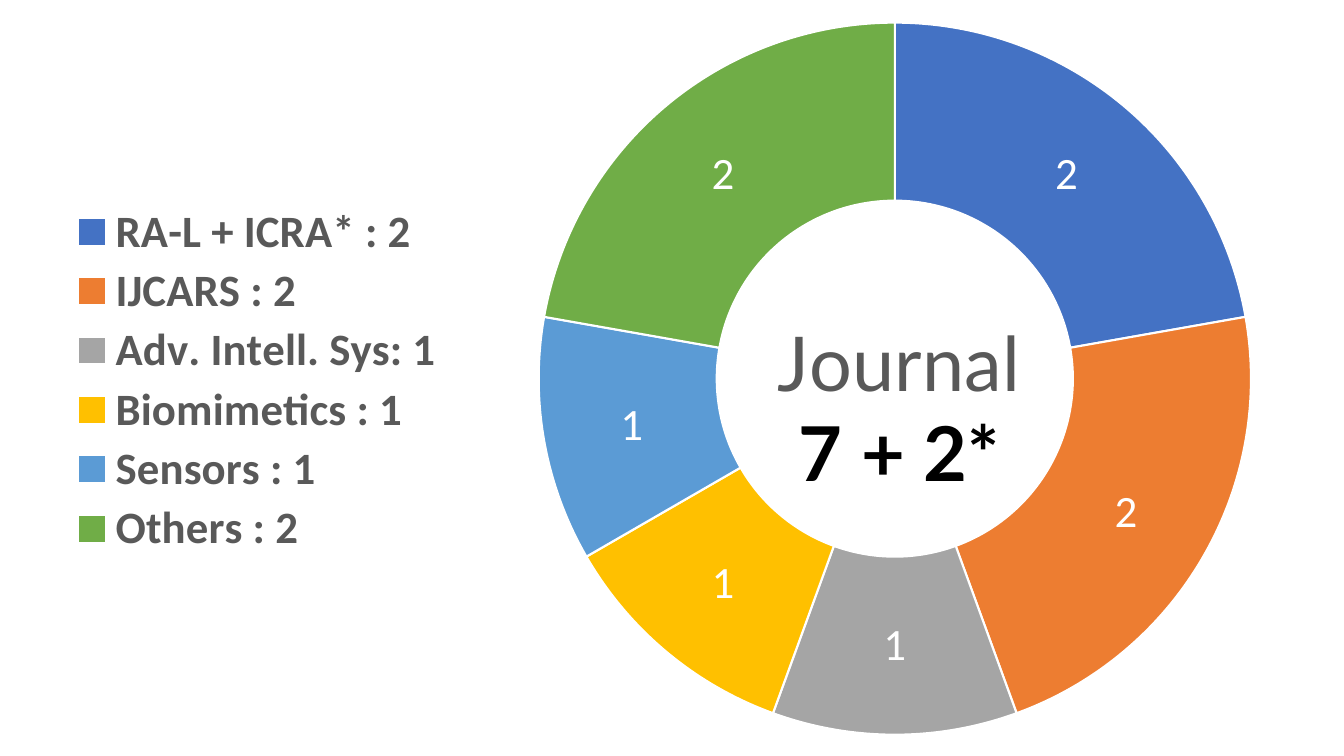
from lxml import etree
from pptx import Presentation
from pptx.chart.data import CategoryChartData
from pptx.dml.color import RGBColor
from pptx.enum import chart as ch
from pptx.enum import text
from pptx.oxml.ns import qn
from pptx.util import Inches, Pt

GREY = RGBColor(0x59, 0x59, 0x59)
BLACK = RGBColor(0, 0, 0)
WHITE = RGBColor(0xFF, 0xFF, 0xFF)
JOURNALS = [
    ("RA-L + ICRA* : 2", 2, RGBColor(0x44, 0x72, 0xC4)),
    ("IJCARS : 2", 2, RGBColor(0xED, 0x7D, 0x31)),
    ("Adv. Intell. Sys: 1", 1, RGBColor(0xA5, 0xA5, 0xA5)),
    ("Biomimetics : 1", 1, RGBColor(0xFF, 0xC0, 0x00)),
    ("Sensors : 1", 1, RGBColor(0x5B, 0x9B, 0xD5)),
    ("Others : 2", 2, RGBColor(0x70, 0xAD, 0x47)),
]


def style(font, size, color, name="Calibri", bold=False):
    font.size = Pt(size)
    font.name = name
    font.bold = bold
    font.color.rgb = color


def place(parent, index, **settings):
    """Give a chart part a manual layout, as fractions of the chart."""
    for old in parent.findall(qn("c:layout")):
        parent.remove(old)
    layout = etree.Element(qn("c:layout"))
    parent.insert(index, layout)
    manual = etree.SubElement(layout, qn("c:manualLayout"))
    for tag, value in settings.items():
        etree.SubElement(manual, qn(f"c:{tag}")).set("val", str(value))


deck = Presentation()
deck.slide_width, deck.slide_height = Inches(13.33), Inches(7.5)
slide = deck.slides.add_slide(deck.slide_layouts[6])

# Doughnut of journal papers
papers = CategoryChartData()
papers.categories = [journal for journal, _, _ in JOURNALS]
papers.add_series("Series 1", [count for _, count, _ in JOURNALS])
doughnut = slide.shapes.add_chart(
    ch.XL_CHART_TYPE.DOUGHNUT, Inches(0.24), 0, Inches(12.86), Inches(7.5), papers
).chart
style(doughnut.font, 10, BLACK)
plot = doughnut.plots[0]
plot.vary_by_categories = True
for i, (_, _, color) in enumerate(JOURNALS):
    segment = plot.series[0].points[i].format
    segment.fill.solid()
    segment.fill.fore_color.rgb = color
    segment.line.color.rgb = WHITE
    segment.line.width = Pt(1.5)

# Counts on the ring
counts = plot.series[0].data_labels
counts.show_value = True
counts.show_percentage = False
style(counts.font, 32, WHITE)

# Legend on the left
doughnut.has_legend = True
doughnut.legend.position = ch.XL_LEGEND_POSITION.LEFT
doughnut.legend.include_in_layout = False
style(doughnut.legend.font, 32, GREY, bold=True)

# Total in the hole
doughnut.has_title = True
doughnut.chart_title.include_in_layout = True
total = doughnut.chart_title.text_frame
total.text = "Journal\n7 + 2*"
for line, color, bold in zip(total.paragraphs, (GREY, BLACK), (False, True)):
    line.alignment = text.PP_ALIGN.CENTER
    style(line.runs[0].font, 54, color, "Lato", bold)

# Places of ring, legend and title, and the hole size
chart_xml = doughnut.element.find(qn("c:chart"))
plot_area = chart_xml.find(qn("c:plotArea"))
place(plot_area, 0, layoutTarget="inner", xMode="edge", yMode="edge",
      x=0.397, y=0.03, w=0.657, h=0.942)
plot_area.find(".//" + qn("c:holeSize")).set("val", "75")
place(chart_xml.find(qn("c:legend")), 1, xMode="edge", yMode="edge",
      x=0.035, y=0.265, w=0.29, h=0.476)
place(chart_xml.find(qn("c:title")), 1, xMode="edge", yMode="edge", x=0.579, y=0.412)

deck.save("out.pptx")
